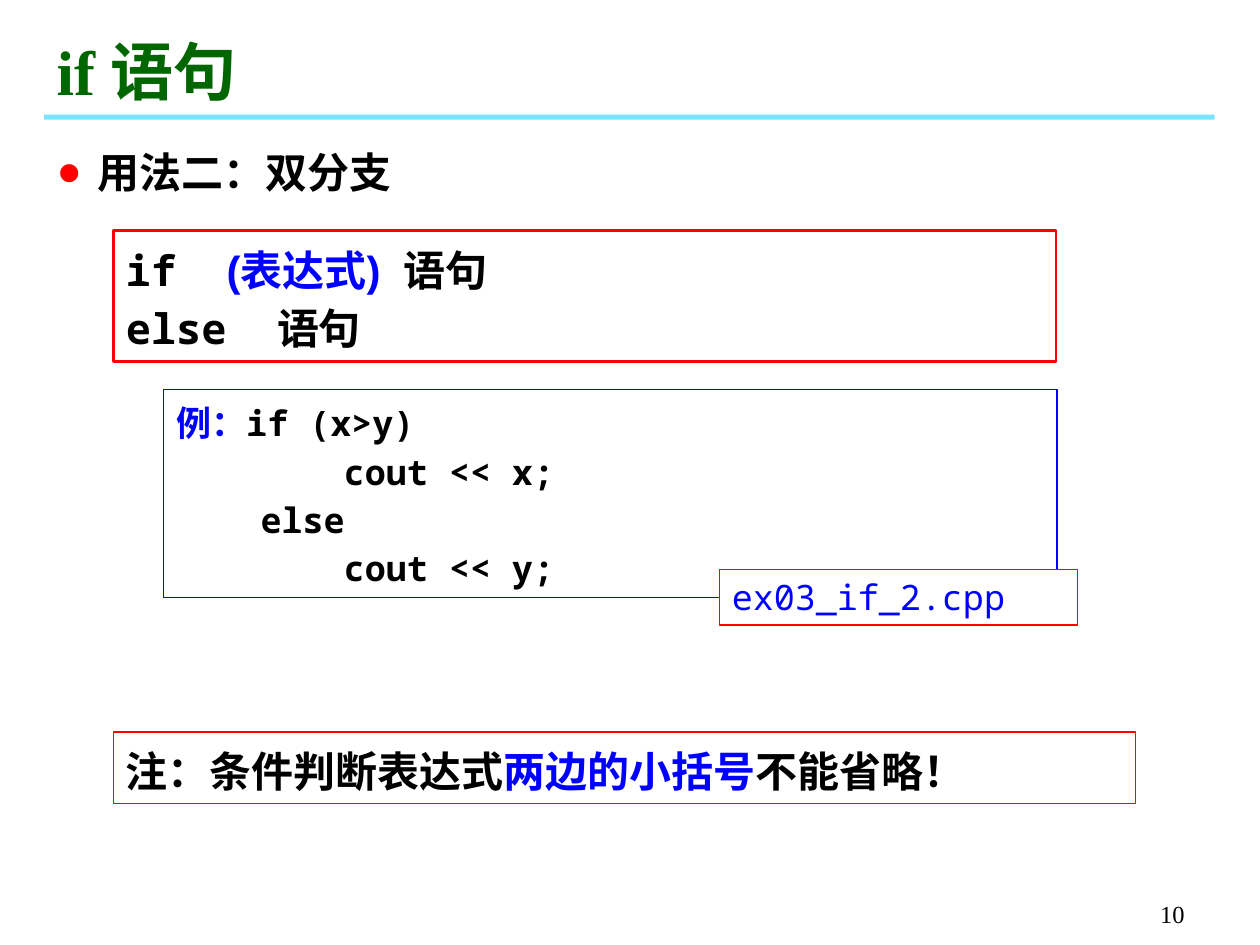
from lxml.etree import SubElement
from pptx import Presentation
from pptx.dml.color import RGBColor
from pptx.enum.shapes import MSO_SHAPE
from pptx.enum.text import MSO_ANCHOR, PP_ALIGN
from pptx.oxml.ns import qn
from pptx.util import Inches, Pt

MONO, SANS, SERIF = "Noto Sans Mono", "Arial", "Times New Roman"
BLACK, BLUE, RED, GREEN, CYAN = "000000", "0000FF", "FF0000", "006600", "00CCFF"


def rgb(color):
    return RGBColor.from_string(color)


class Deck:
    def __init__(self, prs):
        self.slide = prs.slides.add_slide(prs.slide_layouts[1])

    def place(self, sp, box):
        sp.left, sp.top, sp.width, sp.height = [Inches(v) for v in box]

    def add_text(self, tf, lines, size, bold=True, spacing=1.0, anchor=MSO_ANCHOR.TOP):
        tf.word_wrap = True
        tf.vertical_anchor = anchor
        for i, runs in enumerate(lines):
            p = tf.add_paragraph() if i else tf.paragraphs[0]
            p.alignment = PP_ALIGN.LEFT
            p.line_spacing = spacing
            for text, font, color in runs:
                r = p.add_run()
                r.text = text
                r.font.name = font
                r.font.size = Pt(size)
                r.font.bold = bold
                r.font.color.rgb = rgb(color)

    def bar(self, box, color, alpha):
        sp = self.slide.shapes.add_shape(MSO_SHAPE.RECTANGLE, *[Inches(v) for v in box])
        sp.shadow.inherit = False
        sp.line.fill.background()
        sp.fill.solid()
        sp.fill.fore_color.rgb = rgb(color)
        clr = sp._element.spPr.find(qn("a:solidFill"))[0]
        SubElement(clr, qn("a:alpha")).set("val", str(alpha * 1000))

    def title(self, box, runs):
        sp = self.slide.shapes.title
        self.place(sp, box)
        self.add_text(sp.text_frame, [runs], 36, anchor=MSO_ANCHOR.BOTTOM)

    def bullets(self, box, lines):
        sp = self.slide.placeholders[1]
        self.place(sp, box)
        self.add_text(sp.text_frame, lines, 24)
        for p in sp.text_frame.paragraphs:
            p.space_before = Pt(7)
            pPr = p._p.get_or_add_pPr()
            pPr.set("marL", str(Inches(0.32)))
            pPr.set("indent", str(-Inches(0.32)))
            clr = SubElement(pPr, qn("a:buClr"))
            SubElement(clr, qn("a:srgbClr")).set("val", RED)
            SubElement(pPr, qn("a:buChar")).set("char", "●")

    def box(self, box, border, lines, size, weight=0.75, fill=None, bold=True,
            spacing=1.15, indents=()):
        sp = self.slide.shapes.add_shape(MSO_SHAPE.RECTANGLE, *[Inches(v) for v in box])
        sp.shadow.inherit = False
        if fill:
            sp.fill.solid()
            sp.fill.fore_color.rgb = rgb(fill)
        else:
            sp.fill.background()
        sp.line.color.rgb = rgb(border)
        sp.line.width = Pt(weight)
        self.add_text(sp.text_frame, lines, size, bold, spacing)
        for p, indent in zip(sp.text_frame.paragraphs, indents):
            p._p.get_or_add_pPr().set("marL", str(Inches(indent)))

    def page_number(self, box, text):
        tb = self.slide.shapes.add_textbox(*[Inches(v) for v in box])
        self.add_text(tb.text_frame, [[(text, SERIF, BLACK)]], 14, bold=False,
                      anchor=MSO_ANCHOR.BOTTOM)
        tb.text_frame.paragraphs[0].alignment = PP_ALIGN.RIGHT


def main():
    prs = Presentation()
    prs.slide_width, prs.slide_height = Inches(10), Inches(7.5)
    deck = Deck(prs)
    deck.bar((0.35, 0.91, 9.29, 0.04), CYAN, 53)
    deck.page_number((7.42, 6.92, 2.08, 0.5), "10")
    deck.title((0.35, 0.21, 7.17, 0.7), [("if 语句", SERIF, GREEN)])
    deck.box((0.9, 1.83, 7.48, 1.04), RED, [
        [("if  ", MONO, BLACK), ("(表达式)  ", SANS, BLUE), ("语句", SANS, BLACK)],
        [("else  ", MONO, BLACK), ("语句", SANS, BLACK)],
    ], 24, weight=1.5)
    deck.box((1.3, 3.09, 7.09, 1.65), BLUE, [
        [("例：", MONO, BLUE), ("if (x>y)", MONO, BLACK)],
        [("cout << x;", MONO, BLACK)],
        [("else", MONO, BLACK)],
        [("cout << y;", MONO, BLACK)],
    ], 20, indents=(0, 1.33, 0.67, 1.33))
    deck.bullets((0.35, 1.11, 5, 0.5), [[("用法二：双分支", SERIF, BLACK)]])
    deck.box((5.71, 4.52, 2.84, 0.44), RED, [[("ex03_if_2.cpp", MONO, BLUE)]], 20,
             fill="FFFFFF", bold=False, spacing=1.0)
    deck.box((0.9, 5.81, 8.11, 0.57), RED, [[
        ("注：条件判断表达式", SANS, BLACK),
        ("两边的小括号", SANS, BLUE),
        ("不能省略！", SANS, BLACK),
    ]], 24)
    prs.save("out.pptx")


if __name__ == "__main__":
    main()
